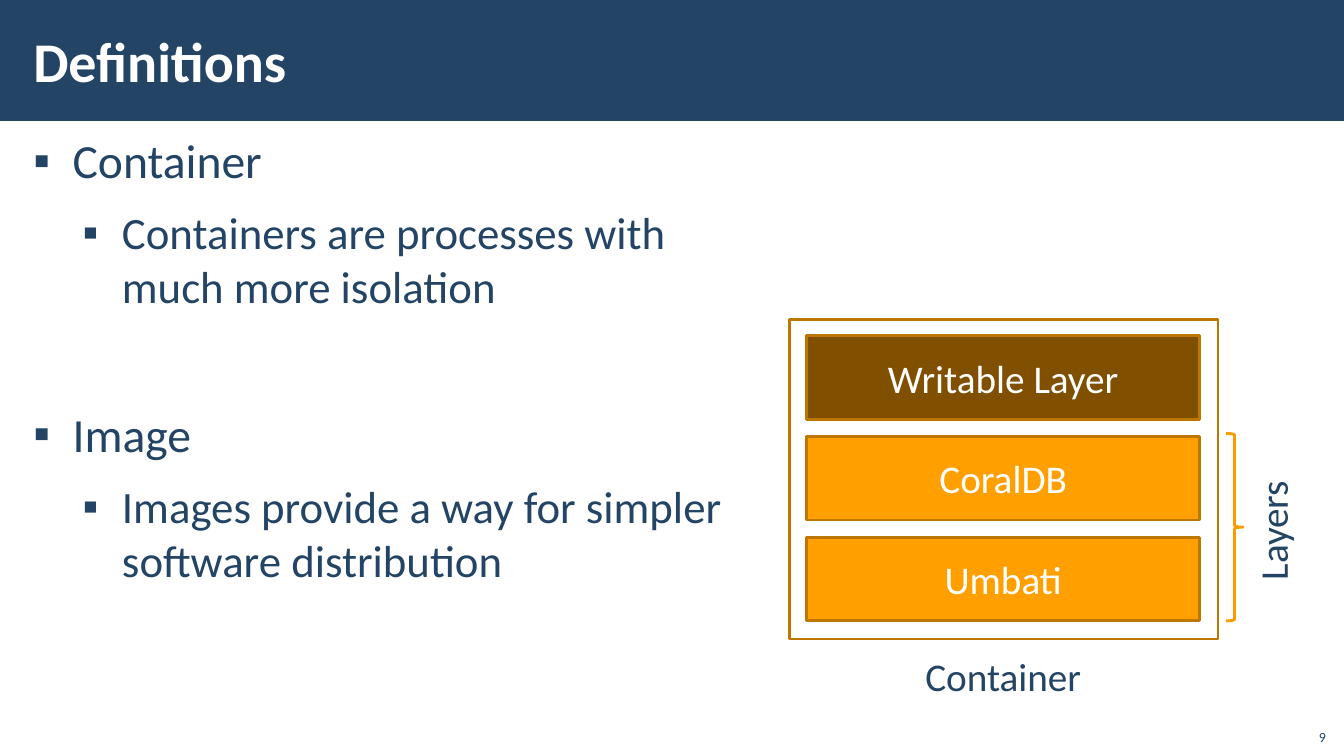
import pptx
import pptx.dml.color
import pptx.enum.shapes
import pptx.enum.text
import pptx.util
from lxml import etree

Inches, Pt = pptx.util.Inches, pptx.util.Pt
Shape = pptx.enum.shapes.MSO_SHAPE
Align = pptx.enum.text.PP_ALIGN
Anchor = pptx.enum.text.MSO_ANCHOR
NAVY, WHITE, AMBER, BROWN, EDGE = "234465", "FFFFFF", "FFA000", "805000", "BD7600"


def write(para, text, size=28, color=NAVY, bold=False, align=Align.LEFT):
    para.alignment = align
    span = para.add_run()
    span.text = text
    span.font.name = "Calibri"
    span.font.size = Pt(size)
    span.font.bold = bold
    span.font.color.rgb = pptx.dml.color.RGBColor.from_string(color)


def draw(kind, left, top, width, height, fill=None, line=None):
    shape = page.shapes.add_shape(kind, Inches(left), Inches(top), Inches(width), Inches(height))
    shape.shadow.inherit = False
    for part, color in ((shape.fill, fill), (shape.line.fill, line)):
        if color:
            part.solid()
            part.fore_color.rgb = pptx.dml.color.RGBColor.from_string(color)
        else:
            part.background()
    if line:
        shape.line.width = Pt(2)
    return shape


deck = pptx.Presentation()
deck.slide_width, deck.slide_height = Inches(13.33), Inches(7.5)
page = deck.slides.add_slide(deck.slide_layouts[1])
title, body = page.placeholders

# Header band, placed behind the title
band = draw(Shape.RECTANGLE, 0, 0, 13.33, 1.2, fill=NAVY)
page.shapes._spTree.insert(2, band._element)

# Title and body placeholders
for box, top, width, height, anchor in ((title, 0.11, 10.63, 0.97, Anchor.MIDDLE),
                                        (body, 1.26, 7.44, 6.09, Anchor.TOP)):
    box.left, box.top, box.width, box.height = map(Inches, (0.21, top, width, height))
    frame = box.text_frame
    frame.auto_size = pptx.enum.text.MSO_AUTO_SIZE.NONE
    frame.word_wrap = True
    frame.vertical_anchor = anchor
    frame.margin_left = frame.margin_right = Inches(0.12)
    frame.margin_top = frame.margin_bottom = Inches(0.04)
write(title.text_frame.paragraphs[0], "Definitions", size=40, color=WHITE, bold=True)

# Bullets: text, level, space before
bullets = [("Container", 0, 6),
           ("Containers are processes with much more isolation", 1, 6),
           ("Image", 0, 60),
           ("Images provide a way for simpler software distribution", 1, 6)]
for index, (text, level, before) in enumerate(bullets):
    frame = body.text_frame
    para = frame.add_paragraph() if index else frame.paragraphs[0]
    write(para, text, size=34 - 2 * level)
    para.level = level
    para.space_before, para.space_after = Pt(before), Pt(6)
    properties = para._p.get_or_add_pPr()
    properties.set("marL", str(Inches(0.39 + 0.49 * level)))
    properties.set("indent", str(Inches(-0.39)))
    bullet = etree.SubElement(properties, pptx.oxml.ns.qn("a:buChar"))
    bullet.set("char", "▪")

# Container frame and its stacked layers
draw(Shape.RECTANGLE, 7.83, 3.17, 4.25, 3.17, line=EDGE)
layers = [("Writable Layer", BROWN), ("CoralDB", AMBER), ("Umbati", AMBER)]
for row, (name, color) in enumerate(layers):
    layer = draw(Shape.RECTANGLE, 8, 3.33 + row, 3.9, 0.83, fill=color, line=EDGE)
    layer.text_frame.vertical_anchor = Anchor.MIDDLE
    write(layer.text_frame.paragraphs[0], name, color=WHITE, align=Align.CENTER)

# Brace beside the read-only layers
draw(Shape.RIGHT_BRACE, 12.16, 4.3, 0.17, 1.86, line="F99C00")

# Labels and page number
labels = [("Container", 9.08, 6.42, 1.76, 0.57, 28, 0, Align.LEFT, Anchor.TOP),
          ("Layers", 12, 4.94, 1.25, 0.58, 28, 270, Align.LEFT, Anchor.TOP),
          ("9", 12.85, 7.12, 0.4, 0.32, 10, 0, Align.RIGHT, Anchor.BOTTOM)]
for text, left, top, width, height, size, turn, align, anchor in labels:
    box = page.shapes.add_textbox(*map(Inches, (left, top, width, height)))
    box.rotation = turn
    box.text_frame.word_wrap = text != "Container"
    box.text_frame.vertical_anchor = anchor
    write(box.text_frame.paragraphs[0], text, size=size, align=align)

deck.save("out.pptx")
